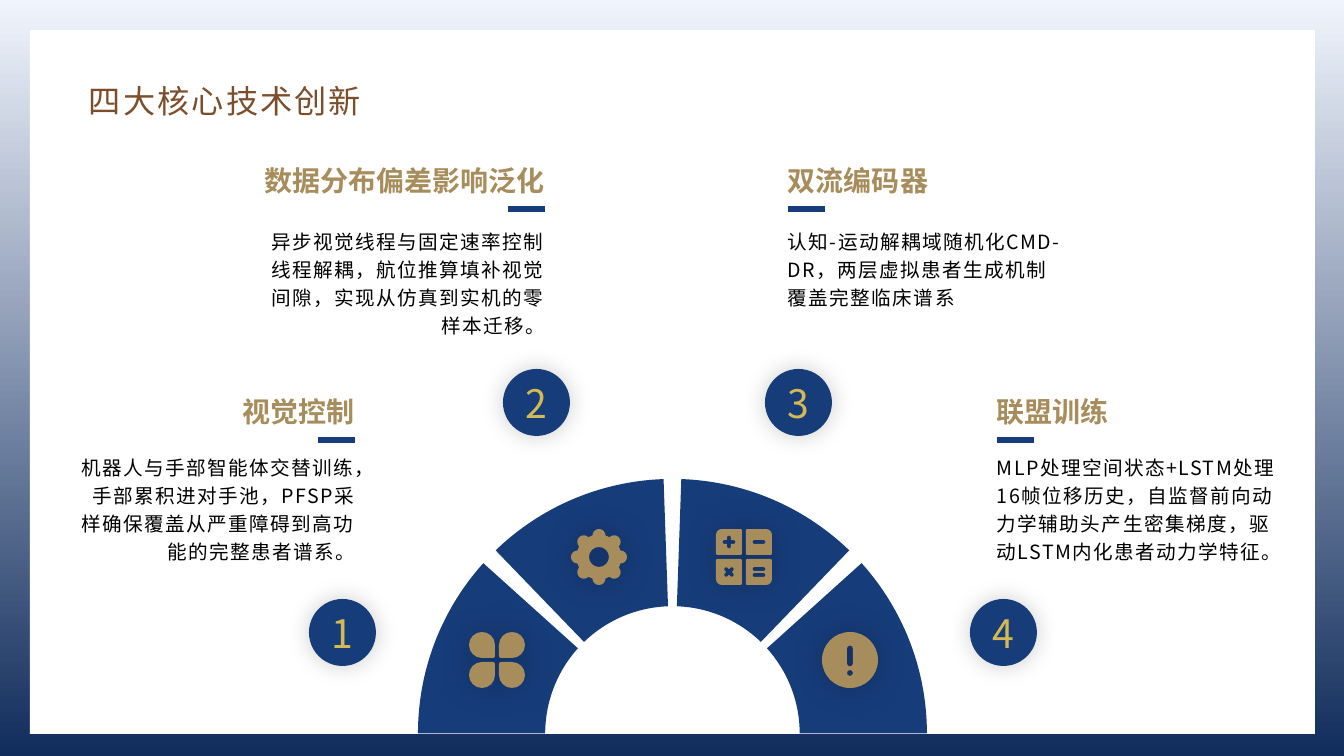
from math import ceil, cos, pi, sin, tan

from lxml.etree import SubElement
from pptx import Presentation
from pptx.dml.color import RGBColor
from pptx.enum.shapes import MSO_CONNECTOR, MSO_SHAPE
from pptx.enum.text import MSO_ANCHOR, MSO_AUTO_SIZE, PP_ALIGN
from pptx.oxml.ns import qn
from pptx.util import Pt

SCALE = 12192000 / 1344
FONT = "Noto Sans CJK SC"
NAVY = RGBColor(0x17, 0x3C, 0x7A)
DEEP = RGBColor(0x11, 0x2D, 0x5C)
PALE = RGBColor(0xF0, 0xF4, 0xFC)
TAN = RGBColor(0xA7, 0x8D, 0x5B)
GOLD = RGBColor(0xD4, 0xBA, 0x54)
BROWN = RGBColor(0x7C, 0x4E, 0x2C)
BLACK = RGBColor(0, 0, 0)
WHITE = RGBColor(255, 255, 255)

TITLE = {"size": Pt(23)}
HEADING = {"size": Pt(20), "bold": True}
BODY = {"size": Pt(14)}
NUMBER = {"size": Pt(28)}

BLOCKS = [
    ("1", (65, 390, 300), 273, 56, (244, 209), PP_ALIGN.RIGHT, "视觉控制",
     "机器人与手部智能体交替训练，手部累积进对手池，PFSP采样确保覆盖从严重障碍到高功能的完整患者谱系。"),
    ("2", (246, 159, 309), 309, 61, (257, 210), PP_ALIGN.RIGHT, "数据分布偏差影响泛化",
     "异步视觉线程与固定速率控制线程解耦，航位推算填补视觉间隙，实现从仿真到实机的零样本迁移。"),
    ("3", (778, 159, 300), 245, 61, (-13, 210), PP_ALIGN.LEFT, "双流编码器",
     "认知-运动解耦域随机化CMD-DR，两层虚拟患者生成机制覆盖完整临床谱系"),
    ("4", (987, 390, 300), 217, 56, (-17, 209), PP_ALIGN.LEFT, "联盟训练",
     "MLP处理空间状态+LSTM处理16帧位移历史，自监督前向动力学辅助头产生密集梯度，驱动LSTM内化患者动力学特征。"),
]


def px(*lengths):
    return [round(n * SCALE) for n in lengths]


def style(sp, color, blur=0):
    sp.shadow.inherit = False
    sp.fill.solid()
    sp.fill.fore_color.rgb = color
    sp.line.fill.background()
    if blur:
        effects = sp._element.spPr.find(qn("a:effectLst"))
        shadow = SubElement(effects, qn("a:outerShdw"), blurRad=str(Pt(blur)), dist="0", dir="0",
                            algn="ctr", rotWithShape="0")
        black = SubElement(shadow, qn("a:srgbClr"), val="000000")
        SubElement(black, qn("a:alpha"), val="20000")


def write(tf, text, color, fmt, align=PP_ALIGN.LEFT, line_spacing=None, spc=0):
    p = tf.paragraphs[0]
    p.alignment = align
    if line_spacing:
        p.line_spacing = line_spacing
    r = p.add_run()
    r.text = text
    for name, value in {"name": FONT, **fmt}.items():
        setattr(r.font, name, value)
    r.font.color.rgb = color
    rPr = r._r.get_or_add_rPr()
    SubElement(rPr, qn("a:ea"), typeface=FONT)
    if spc:
        rPr.set("spc", str(spc))


def add_text(s, box, wrap, grow, *args, **kwargs):
    tf = s.shapes.add_textbox(*px(*box)).text_frame
    tf.word_wrap = wrap
    tf.auto_size = MSO_AUTO_SIZE.SHAPE_TO_FIT_TEXT if grow else MSO_AUTO_SIZE.NONE
    write(tf, *args, **kwargs)
    return tf


def arc(cx, cy, r, start, sweep):
    def point(a, pull=0):
        return cx + r * (cos(a) - pull * sin(a)), cy + r * (sin(a) + pull * cos(a))

    count = ceil(sweep / (pi / 2))
    step = sweep / count
    pull = 4 / 3 * tan(step / 4)
    segments = [(point(start),)]
    for i in range(count):
        a, b = start + i * step, start + (i + 1) * step
        segments.append((point(a, pull), point(b, -pull), point(b)))
    return segments


def lobes(cx, cy, count, reach, tip, valley, phase=0):
    segments = []
    for i in range(count):
        a = phase + 2 * pi * i / count
        segments += arc(cx + reach * cos(a), cy + reach * sin(a), tip, a - pi / 2, pi)
        if valley:
            b = a + pi / count
            segments.append(((cx + valley * cos(b), cy + valley * sin(b)),))
    return segments


def disc(cx, cy, r):
    return arc(cx, cy, r, 0, 2 * pi)


def quarters(common, special, turn):
    contours = []
    for q, (x, y) in enumerate([(0, 0), (30, 0), (30, 30), (0, 30)]):
        segments = []
        for k, (right, down) in enumerate([(0, 0), (1, 0), (1, 1), (0, 1)]):
            r = special if k == (q + turn) % 4 else common
            cx = x + (26 - r if right else r)
            cy = y + (26 - r if down else r)
            segments += arc(cx, cy, r, pi + k * pi / 2, pi / 2)
        contours.append(segments)
    return contours


def clover():
    return quarters(13, 2, 2)


def gear():
    return [lobes(28, 28, 8, 21.5, 6.5, 0), disc(28, 28, 10)]


def calculator():
    signs = [lobes(13, 13, 4, 4.5, 2, 2.8), lobes(13, 43, 4, 4, 2, 2.8, pi / 4)]
    signs += [lobes(43, y, 2, 4.5, 2, 0) for y in (13, 40, 46)]
    return quarters(1, 6, 0) + signs


def alert():
    return [disc(28, 28, 28), lobes(28, 24, 2, 7.5, 3, 0, pi / 2), disc(28, 41, 3)]


def add_icon(s, left, top, contours):
    placed = [[[px(left + x, top + y) for x, y in segment] for segment in contour]
              for contour in contours]
    builder = s.shapes.build_freeform(*placed[0][0][-1])
    for i, contour in enumerate(placed):
        if i:
            builder.move_to(*contour[0][-1])
        builder.add_line_segments([segment[-1] for segment in contour[1:]], close=True)
    sp = builder.convert_to_shape()
    segments = [segment for contour in placed for segment in contour[1:]]
    for line, segment in zip(list(sp._element.iter(qn("a:lnTo"))), segments):
        if len(segment) == 3:
            end = line[0]
            line.tag = qn("a:cubicBezTo")
            for x, y in segment[:2]:
                SubElement(line, qn("a:pt"), x=str(x - sp.left), y=str(y - sp.top))
            line.append(end)
    style(sp, TAN, 23)


def add_fan(s, left, top, size):
    for i in range(4):
        sp = s.shapes.add_shape(MSO_SHAPE.BLOCK_ARC, *px(left, top, size, size))
        start = 108 + 27.6 * i
        for k, value in enumerate([start, start + 25.2 if i < 3 else 0, 0.25]):
            sp.adjustments[k] = value
        style(sp, NAVY)
    for x, y, icon in [(51, 153, clover), (153, 50, gear), (298, 50, calculator), (404, 153, alert)]:
        add_icon(s, left + x, top + y, icon())


def add_badge(s, left, top, number):
    sp = s.shapes.add_shape(MSO_SHAPE.OVAL, *px(left, top, 67, 67))
    style(sp, NAVY, 17)
    tf = sp.text_frame
    tf.word_wrap = True
    tf.vertical_anchor = MSO_ANCHOR.MIDDLE
    write(tf, number, GOLD, NUMBER, PP_ALIGN.CENTER)


def add_block(s, number, box, heading_width, body_drop, badge, align, heading, body):
    left, top, width = box
    on_right = align == PP_ALIGN.RIGHT
    heading_left = left + width - heading_width if on_right else left
    add_text(s, (heading_left, top, heading_width, 44), False, True, heading, TAN, HEADING, align)
    add_text(s, (left, top + body_drop, width, 96), True, True, body, BLACK, BODY, align, 1.2, 100)
    start, end = (left + width - 10, left + width - 47) if on_right else (left + 10, left + 47)
    rule = s.shapes.add_connector(MSO_CONNECTOR.STRAIGHT, *px(start, top + 50, end, top + 50))
    rule.line.color.rgb = NAVY
    rule.line.width = Pt(4)
    SubElement(rule._element.spPr, qn("a:effectLst"))
    add_badge(s, left + badge[0], top + badge[1], number)


def add_frame(s):
    fill = s.background.fill
    fill.gradient()
    fill.gradient_angle = 270
    for stop, color, position in zip(fill.gradient_stops, (PALE, DEEP), (0, 1)):
        stop.color.rgb = color
        stop.position = position
    style(s.shapes.add_shape(MSO_SHAPE.RECTANGLE, *px(30, 30, 1285, 704)), WHITE)
    tf = add_text(s, (79, 65, 881, 60), True, False, "四大核心技术创新", BROWN, TITLE,
                  line_spacing=1.3, spc=150)
    tf.vertical_anchor = MSO_ANCHOR.MIDDLE


def main():
    prs = Presentation()
    prs.slide_width, prs.slide_height = px(1344, 756)
    s = prs.slides.add_slide(prs.slide_layouts[6])
    add_frame(s)
    add_fan(s, 418, 479, 509)
    for block in BLOCKS:
        add_block(s, *block)
    prs.save("out.pptx")


if __name__ == "__main__":
    main()
